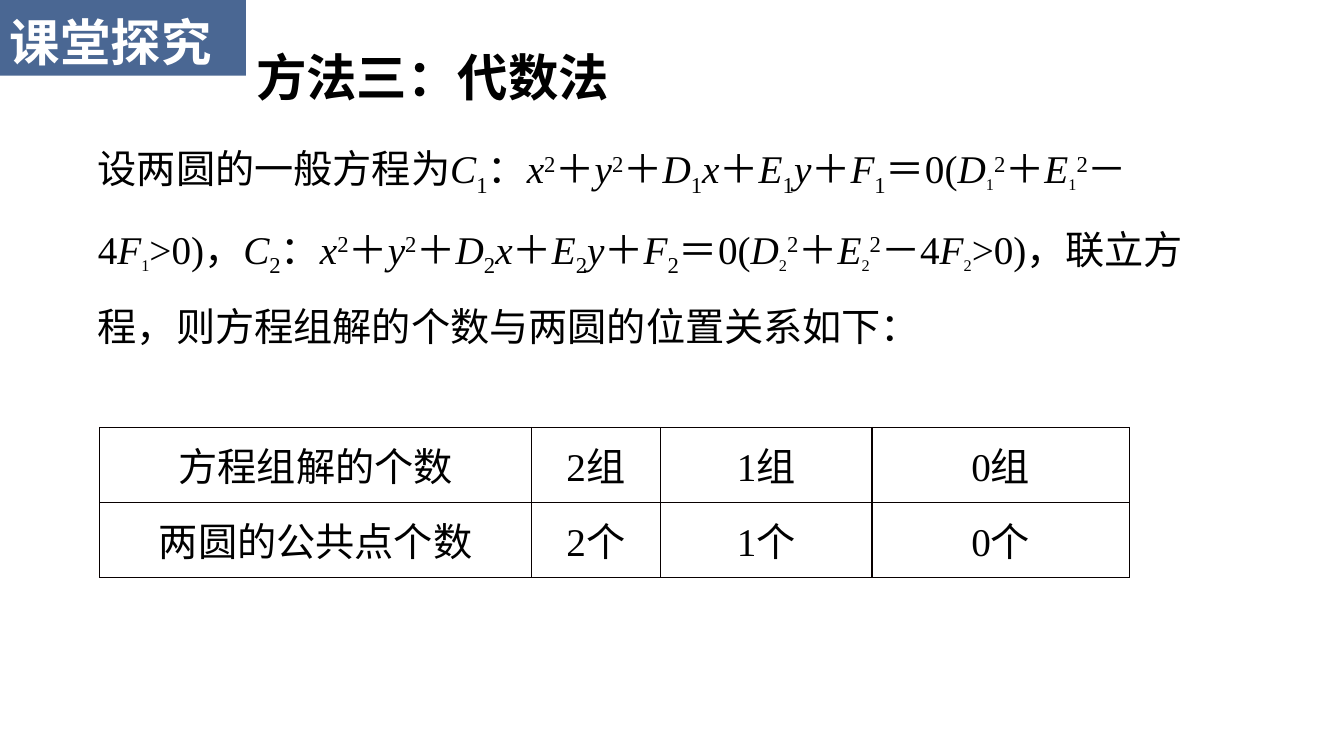
from dataclasses import dataclass
from itertools import groupby

from lxml import etree
from pptx import Presentation
from pptx.dml.color import RGBColor
from pptx.enum.shapes import MSO_SHAPE
from pptx.enum.text import MSO_ANCHOR, MSO_AUTO_SIZE, PP_ALIGN
from pptx.oxml.ns import qn
from pptx.util import Inches, Pt

RECTANGLE = MSO_SHAPE.RECTANGLE
TOP, MIDDLE = MSO_ANCHOR.TOP, MSO_ANCHOR.MIDDLE
LEFT, CENTER, JUSTIFY = PP_ALIGN.LEFT, PP_ALIGN.CENTER, PP_ALIGN.JUSTIFY
NO_AUTOFIT = MSO_AUTO_SIZE.NONE
BASELINES = {"_": -25000, "~": -25000, "^": 30000}


@dataclass(frozen=True)
class Theme:
    banner: str = "4A6793"
    light: str = "FFFFFF"
    ink: str = "000000"
    border: str = "080000"
    heading_size: int = 36
    body_size: int = 28
    small_size: int = 20
    chinese: str = "Noto Sans CJK SC"
    latin: str = "Times New Roman"


def styled_pieces(markup):
    marked, mark = [], ""
    for character in markup:
        if character in BASELINES:
            mark = character
            continue
        if mark:
            style = mark
        elif not character.isascii():
            style = "chinese"
        else:
            style = "variable" if character.isalpha() else "plain"
        marked.append((style, character))
        mark = ""
    for style, group in groupby(marked, key=lambda item: item[0]):
        yield style, "".join(character for _, character in group)


class SlideBuilder:
    def __init__(self, presentation, theme):
        self.presentation = presentation
        self.theme = theme
        self.slide = presentation.slides.add_slide(presentation.slide_layouts[1])

    def across(self, percent):
        return round(self.presentation.slide_width * percent / 100)

    def down(self, percent):
        return round(self.presentation.slide_height * percent / 100)

    def area(self, left, top, width, height):
        return self.across(left), self.down(top), self.across(width), self.down(height)

    def place(self, placeholder, area):
        placeholder.left, placeholder.top, placeholder.width, placeholder.height = self.area(*area)
        self.frame(placeholder.text_frame, TOP)

    def frame(self, text_frame, anchor):
        text_frame.word_wrap = True
        text_frame.auto_size = NO_AUTOFIT
        text_frame.vertical_anchor = anchor

    def format(self, paragraph, size, color, latin, alignment, bold=False, spacing=1.0):
        paragraph.alignment = alignment
        paragraph.line_spacing = spacing
        paragraph.space_before = Pt(0)
        font = paragraph.font
        font.size, font.bold, font.name = Pt(size), bold, latin
        font.color.rgb = RGBColor.from_string(color)
        defaults = paragraph._p.pPr.find(qn("a:defRPr"))
        etree.SubElement(defaults, qn("a:ea"), typeface=self.theme.chinese)

    def banner(self, text, area):
        theme = self.theme
        shape = self.slide.shapes.add_shape(RECTANGLE, *self.area(*area))
        shape.shadow.inherit = False
        shape.fill.solid()
        shape.fill.fore_color.rgb = RGBColor.from_string(theme.banner)
        shape.line.fill.background()
        self.frame(shape.text_frame, MIDDLE)
        paragraph = shape.text_frame.paragraphs[0]
        paragraph.text = text
        self.format(paragraph, theme.heading_size, theme.light, theme.chinese, JUSTIFY, True, 1.2)

    def title(self, text, area):
        theme = self.theme
        title = self.slide.shapes.title
        self.place(title, area)
        paragraph = title.text_frame.paragraphs[0]
        paragraph.text = text
        self.format(paragraph, theme.heading_size, theme.ink, theme.chinese, LEFT, True)

    def formula(self, markup, area):
        theme = self.theme
        body = self.slide.placeholders[1]
        self.place(body, area)
        paragraph = body.text_frame.paragraphs[0]
        properties = paragraph._p.get_or_add_pPr()
        properties.set("marL", "0")
        properties.set("indent", "0")
        etree.SubElement(properties, qn("a:buNone"))
        self.format(paragraph, theme.body_size, theme.ink, theme.latin, LEFT, spacing=1.5)
        for style, text in styled_pieces(markup):
            run = paragraph.add_run()
            run.text = text
            if style == "chinese":
                run.font.name = theme.chinese
            elif style == "variable":
                run.font.italic = True
            elif style in BASELINES:
                run._r.get_or_add_rPr().set("baseline", str(BASELINES[style]))
            if style == "~":
                run.font.size = Pt(theme.small_size)

    def border(self, cell):
        properties = cell._tc.get_or_add_tcPr()
        for index, side in enumerate(("a:lnL", "a:lnR", "a:lnT", "a:lnB")):
            line = etree.Element(qn(side), w=str(Pt(1)))
            fill = etree.SubElement(line, qn("a:solidFill"))
            etree.SubElement(fill, qn("a:srgbClr"), val=self.theme.border)
            properties.insert(index, line)

    def table(self, rows, left, top, column_widths, row_height):
        theme = self.theme
        area = self.area(left, top, sum(column_widths), row_height * len(rows))
        table = self.slide.shapes.add_table(len(rows), len(column_widths), *area).table
        for column, width in zip(table.columns, column_widths):
            column.width = self.across(width)
        for row, texts in zip(table.rows, rows):
            row.height = self.down(row_height)
            for cell, text in zip(row.cells, texts):
                cell.fill.background()
                self.border(cell)
                cell.vertical_anchor = MIDDLE
                cell.margin_left = cell.margin_right = Inches(0.07)
                cell.margin_top = cell.margin_bottom = 0
                paragraph = cell.text_frame.paragraphs[0]
                paragraph.text = text
                self.format(paragraph, theme.body_size, theme.ink, theme.latin, CENTER)


def circle_equation(n):
    return (f"C_{n}：x^2＋y^2＋D_{n}x＋E_{n}y＋F_{n}＝0"
            f"(D~{n}^2＋E~{n}^2－4F~{n}>0)，")


def main():
    presentation = Presentation()
    presentation.slide_width, presentation.slide_height = Inches(13.33), Inches(7.5)
    builder = SlideBuilder(presentation, Theme())
    builder.banner("课堂探究", (0, -0.67, 18.3, 10.67))
    builder.title("方法三：代数法", (18.3, 5.47, 52.43, 9.47))
    equations = "".join(circle_equation(n) for n in (1, 2))
    builder.formula(
        f"设两圆的一般方程为{equations}联立方程，则方程组解的个数与两圆的位置关系如下：",
        (6.53, 14.93, 83.72, 29.6),
    )
    builder.table(
        [["方程组解的个数", "2组", "1组", "0组"],
         ["两圆的公共点个数", "2个", "1个", "0个"]],
        7.43, 56.53, (32.1, 9.6, 15.75, 19.15), 9.93,
    )
    presentation.save("out.pptx")


if __name__ == "__main__":
    main()
